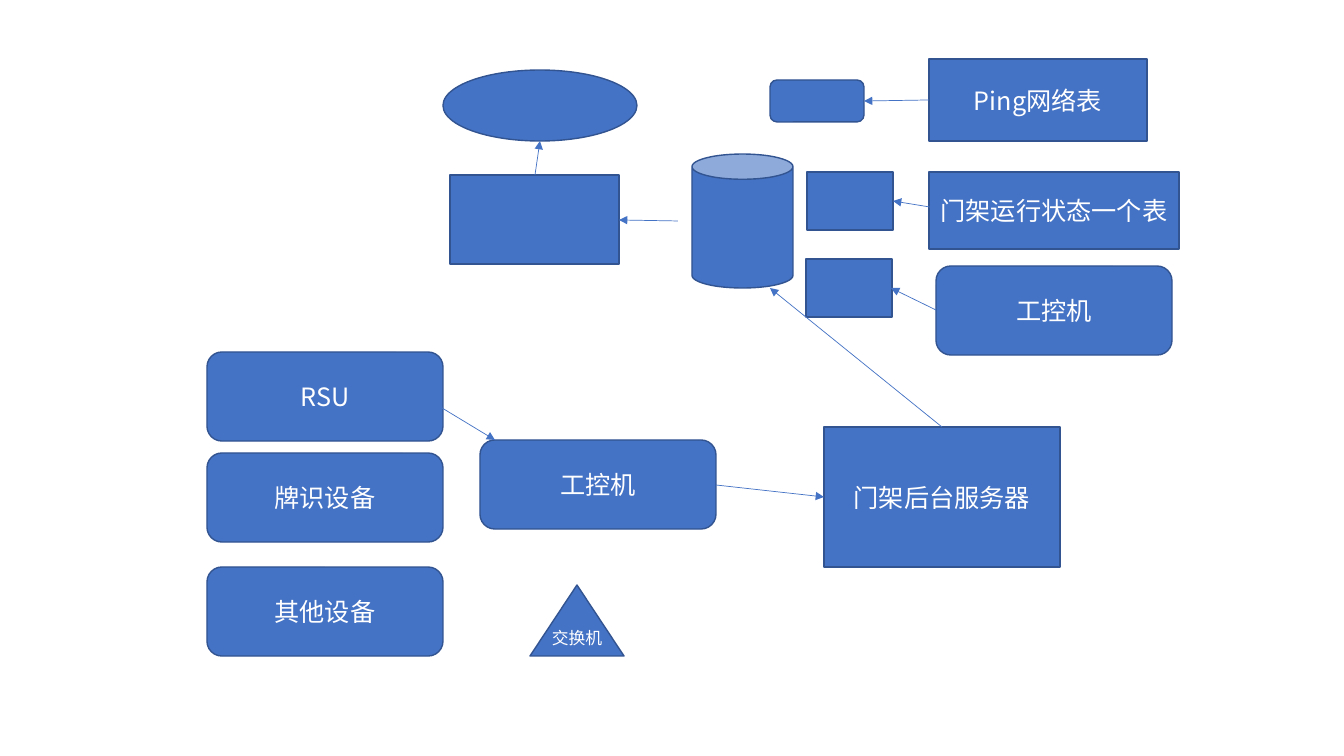
from pptx import Presentation
from pptx.dml.color import RGBColor
from pptx.enum.shapes import MSO_CONNECTOR, MSO_SHAPE
from pptx.enum.text import MSO_ANCHOR, PP_ALIGN
from pptx.oxml.ns import qn
from pptx.util import Pt
from lxml import etree

PX = 914400 / 100.8
FONT = "Noto Sans CJK SC"
BLUE, OUTLINE, WHITE = "4472C4", "325491", "FFFFFF"


def emu(*pixels):
    return [round(p * PX) for p in pixels]


def color(hex_string):
    return RGBColor.from_string(hex_string)


prs = Presentation()
prs.slide_width, prs.slide_height = emu(1344, 756)
slide = prs.slides.add_slide(prs.slide_layouts[6])

RECT, ROUND = MSO_SHAPE.RECTANGLE, MSO_SHAPE.ROUNDED_RECTANGLE
TRIANGLE = MSO_SHAPE.ISOSCELES_TRIANGLE
DEVICE = (236, 89)  # common size of the device boxes
SMALL = (86, 58)  # common size of the small database tables

# Nodes: preset, left, top, (width, height), label
nodes = [
    (RECT, 450, 175, (169, 89), ""),
    (MSO_SHAPE.OVAL, 443, 70, (194, 71), ""),
    (RECT, 824, 427, (236, 140), "门架后台服务器"),
    (ROUND, 480, 440, DEVICE, "工控机"),
    (ROUND, 207, 567, DEVICE, "其他设备"),
    (ROUND, 207, 453, DEVICE, "牌识设备"),
    (ROUND, 207, 352, DEVICE, "RSU"),
    (TRIANGLE, 530, 585, (94, 71), "交换机"),
    (MSO_SHAPE.CAN, 692, 154, (101, 134), ""),
    (RECT, 929, 59, (218, 82), "Ping网络表"),
    (ROUND, 770, 80, (94, 42), ""),
    (RECT, 929, 172, (250, 77), "门架运行状态一个表"),
    (RECT, 807, 172, SMALL, ""),
    (ROUND, 936, 266, DEVICE, "工控机"),
    (RECT, 806, 259, SMALL, ""),
]
for preset, left, top, size, label in nodes:
    node = slide.shapes.add_shape(preset, *emu(left, top, *size))
    node.shadow.inherit = False
    node.fill.solid()
    node.fill.fore_color.rgb = color(BLUE)
    node.line.color.rgb = color(OUTLINE)
    node.line.width = Pt(1)
    if label:
        frame = node.text_frame
        frame.word_wrap = True
        frame.vertical_anchor = MSO_ANCHOR.MIDDLE
        paragraph = frame.paragraphs[0]
        paragraph.alignment = PP_ALIGN.CENTER
        run = paragraph.add_run()
        run.text = label
        run.font.size = Pt(18)
        run.font.name = FONT
        run.font.color.rgb = color(WHITE)
        etree.SubElement(run.font._element, qn("a:ea"), typeface=FONT)
        if preset == TRIANGLE:  # one smaller line stays inside the slanted sides
            frame.word_wrap = False
            frame.margin_left = frame.margin_right = 0
            frame.margin_top = frame.margin_bottom = 0
            run.font.size = Pt(12)

# Arrows: start x, start y, end x, end y
arrows = [
    (414, 391, 495, 440),  # RSU to industrial computer
    (716, 485, 824, 497),  # industrial computer to server
    (942, 427, 770, 288),  # server to database
    (678, 221, 619, 220),  # database to application
    (535, 175, 540, 141),  # application to ellipse
    (929, 100, 864, 101),  # ping table
    (942, 209, 893, 201),  # gantry status table
    (936, 310, 891, 288),  # industrial computer to table
]
for ends in arrows:
    arrow = slide.shapes.add_connector(MSO_CONNECTOR.STRAIGHT, *emu(*ends))
    arrow.line.color.rgb = color(BLUE)
    arrow.line.width = Pt(0.5)
    etree.SubElement(arrow.line._get_or_add_ln(), qn("a:tailEnd"), type="triangle")
    etree.SubElement(arrow._element.spPr, qn("a:effectLst"))

prs.save("out.pptx")
